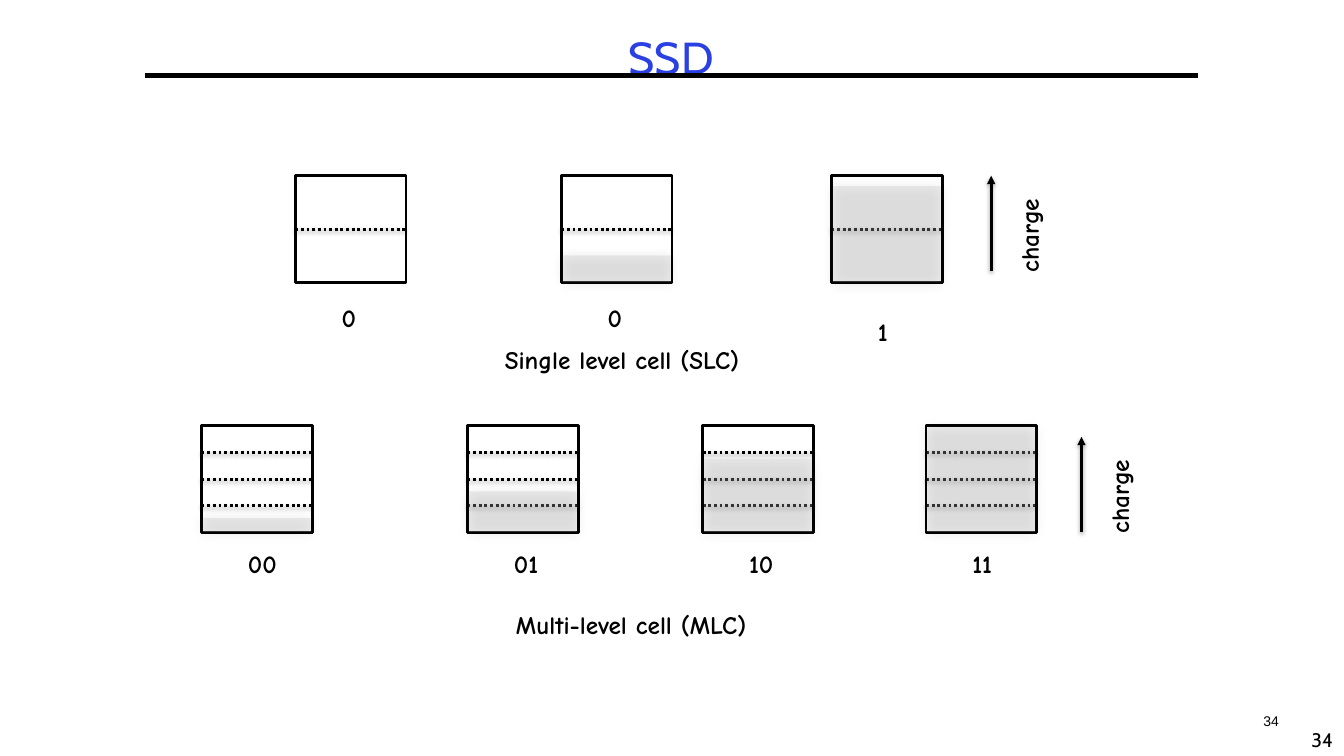
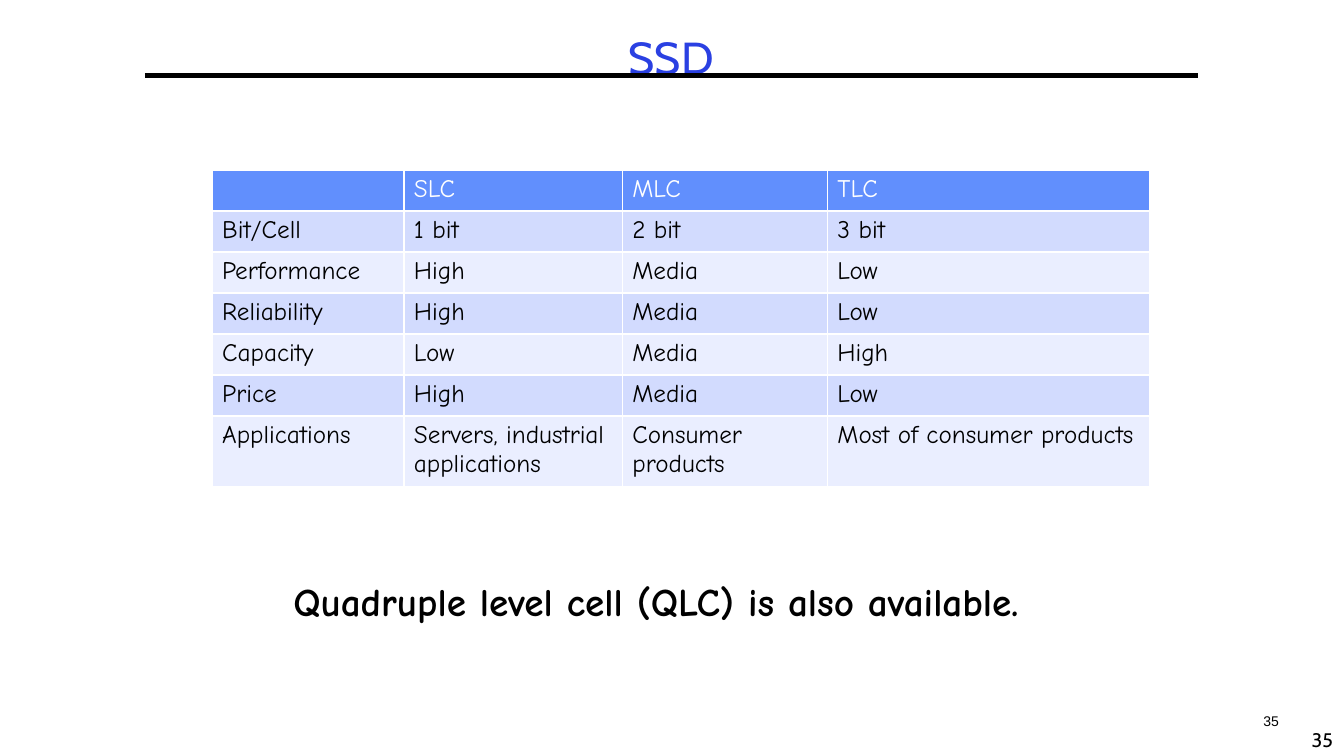
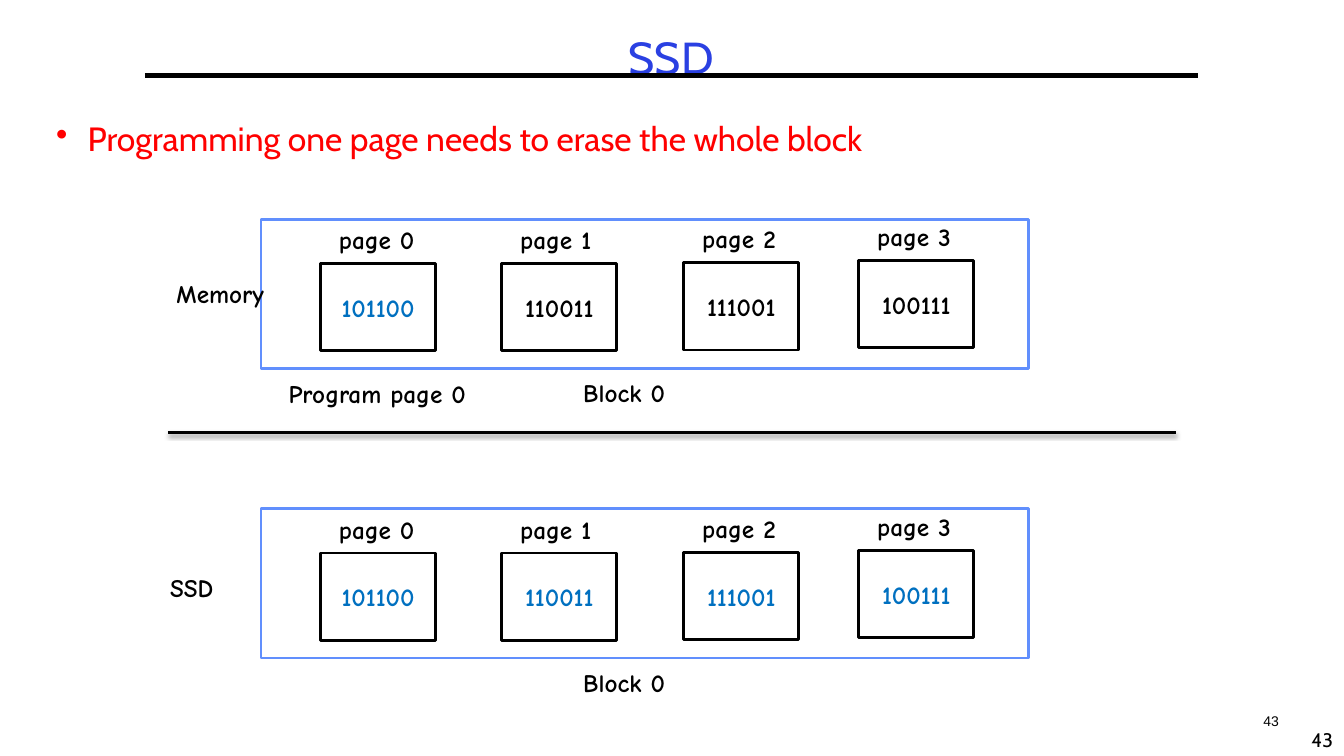
"""Build three slides on SSD cell levels, cell types and block programming."""
from lxml import etree
from pptx import Presentation
from pptx.dml.color import RGBColor
from pptx.enum.dml import MSO_LINE
from pptx.enum.shapes import MSO_CONNECTOR, MSO_SHAPE
from pptx.enum.text import MSO_ANCHOR, MSO_AUTO_SIZE, PP_ALIGN
from pptx.oxml.ns import qn
from pptx.util import Pt

LEFT, CENTER = PP_ALIGN.LEFT, PP_ALIGN.CENTER
MIDDLE, TOP = MSO_ANCHOR.MIDDLE, MSO_ANCHOR.TOP
RECT, STRAIGHT = MSO_SHAPE.RECTANGLE, MSO_CONNECTOR.STRAIGHT
DOTTED = MSO_LINE.ROUND_DOT
GROW, FIXED = MSO_AUTO_SIZE.SHAPE_TO_FIT_TEXT, MSO_AUTO_SIZE.NONE

BLACK = RGBColor(0, 0, 0)
WHITE = RGBColor(255, 255, 255)
TITLE_BLUE = RGBColor(0x2A, 0x40, 0xE2)
ACCENT = RGBColor(0x61, 0x8F, 0xFD)
BAND_DARK = RGBColor(0xD2, 0xDB, 0xFE)
BAND_LIGHT = RGBColor(0xEA, 0xEE, 0xFF)
CHARGE_GRAY = RGBColor(0xBF, 0xBF, 0xBF)
DATA_BLUE = RGBColor(0, 0x70, 0xC0)
RED = RGBColor(255, 0, 0)
HAND, SANS, PLAIN = "Comic Neue", "Cabin", "Arial"

LINE_SHADOW = (38, 3.1, 1.6)
CHARGE_SHADOW = (35, 9, 1)

CELL_W, CELL_H = 79, 76.5
CELL_ROWS = [
    {
        "top": 125.5, "levels": 2, "label_w": 26,
        "cells": [("0", 211, 0, 212.5), ("0", 401, 19, 212.5), ("1", 594, 68.5, 222.5)],
        "caption": ("Single level cell (SLC)", 353.5, 242.5, 206),
        "arrow": (708, 193.5),
    },
    {
        "top": 304, "levels": 4, "label_w": 36.5,
        "cells": [("00", 144, 10, 388), ("01", 334, 29, 388),
                  ("10", 502, 52, 388), ("11", 661.5, 75, 388)],
        "caption": ("Multi-level cell (MLC)", 361.5, 431.5, 204.5),
        "arrow": (772.5, 380),
    },
]
ARROW_LEN = 68

COL_WIDTHS = [137, 156, 146.5, 230]
ROW_H, LAST_ROW_H = 29.3, 49
TABLE = [
    ["", "SLC", "MLC", "TLC"],
    ["Bit/Cell", "1 bit", "2 bit", "3 bit"],
    ["Performance", "High", "Media", "Low"],
    ["Reliability", "High", "Media", "Low"],
    ["Capacity", "Low", "Media", "High"],
    ["Price", "High", "Media", "Low"],
    ["Applications", "Servers, industrial applications", "Consumer products",
     "Most of consumer products"],
]

PAGES = [("101100", 229, 0), ("110011", 358.5, 0), ("111001", 488.5, -0.5), ("100111", 613.5, -2)]
BLOCKS = [
    {"top": 156.5, "programmed": 1, "name": ("Memory", 119, 195, 83.5)},
    {"top": 363.5, "programmed": 4, "name": ("SSD", 114.5, 405.5, 52.5)},
]


def style(p, size, font, color, bold=False, align=LEFT):
    p.alignment = align
    f = p.font
    f.size, f.name, f.bold = Pt(size), font, bold
    f.color.rgb = color


def add_shadow(shape, alpha, blur, dist):
    sp_pr = shape._element.spPr
    effects = sp_pr.find(qn("a:effectLst"))
    if effects is None:
        effects = etree.SubElement(sp_pr, qn("a:effectLst"))
    outer = etree.SubElement(effects, qn("a:outerShdw"), blurRad=str(Pt(blur)),
                             dist=str(Pt(dist)), dir="5400000", rotWithShape="0")
    clr = etree.SubElement(outer, qn("a:srgbClr"), val=str(BLACK))
    etree.SubElement(clr, qn("a:alpha"), val=str(alpha * 1000))


def add_text(s, text, x, y, w, h=29, size=18, font=HAND, color=BLACK, bold=True,
             align=LEFT, wrap=False):
    box = s.shapes.add_textbox(Pt(x), Pt(y), Pt(w), Pt(h))
    tf = box.text_frame
    tf.word_wrap = wrap
    tf.auto_size = FIXED if wrap else GROW
    tf.vertical_anchor = TOP
    p = tf.paragraphs[0]
    p.text = text
    style(p, size, font, color, bold, align)
    return box


def add_rect(s, x, y, w, h, fill=WHITE, line=BLACK):
    sp = s.shapes.add_shape(RECT, Pt(x), Pt(y), Pt(w), Pt(h))
    sp.shadow.inherit = False
    sp.fill.solid()
    sp.fill.fore_color.rgb = fill
    if line is None:
        sp.line.fill.background()
    else:
        sp.line.color.rgb = line
        sp.line.width = Pt(2)
    return sp


def add_line(s, x1, y1, x2, y2, width=2, dash=None, arrow=False, shadow=LINE_SHADOW):
    c = s.shapes.add_connector(STRAIGHT, Pt(x1), Pt(y1), Pt(x2), Pt(y2))
    c.line.color.rgb = BLACK
    c.line.width = Pt(width)
    if dash is not None:
        c.line.dash_style = dash
    if arrow:
        etree.SubElement(c.line._get_or_add_ln(), qn("a:tailEnd"), type="triangle")
    etree.SubElement(c._element.spPr, qn("a:effectLst"))
    if shadow:
        add_shadow(c, *shadow)


def new_slide(prs, title, number):
    s = prs.slides.add_slide(prs.slide_layouts[5])
    add_text(s, number, 929, 516.5, 31, 24, 14, SANS, bold=False, align=CENTER)
    add_line(s, 103.5, 54, 856, 54, width=3, shadow=None)
    add_text(s, number, 890, 505.5, 36, 29, 10, PLAIN, bold=False, align=CENTER, wrap=True)
    t = s.shapes.title
    t.left, t.top, t.width, t.height = Pt(33), Pt(21.5), Pt(893), Pt(42)
    tf = t.text_frame
    tf.text = title
    tf.auto_size = FIXED
    tf.vertical_anchor = MIDDLE
    p = tf.paragraphs[0]
    p.line_spacing = 0.9
    style(p, 32, SANS, TITLE_BLUE, align=CENTER)
    return s


def add_cell(s, x, top, levels, charge):
    add_rect(s, x, top, CELL_W, CELL_H)
    for i in range(1, levels):
        y = top + CELL_H * i / levels
        add_line(s, x, y, x + CELL_W, y, dash=DOTTED)
    if charge:
        sp = add_rect(s, x + 1, top + CELL_H - charge - 0.5, 77, charge, CHARGE_GRAY, None)
        clr = sp._element.spPr.find(qn("a:solidFill"))[0]
        etree.SubElement(clr, qn("a:alpha"), val="27000")
        add_shadow(sp, *CHARGE_SHADOW)


def levels_slide(prs):
    s = new_slide(prs, "SSD", "34")
    for row in CELL_ROWS:
        for bits, x, charge, label_y in row["cells"]:
            add_cell(s, x, row["top"], row["levels"], charge)
            add_text(s, bits, x + 26, label_y, row["label_w"])
        add_text(s, *row["caption"])
        x, bottom = row["arrow"]
        add_line(s, x, bottom, x, bottom - ARROW_LEN, arrow=True)
        add_text(s, "charge", x - 9.5, bottom - 43, 73).rotation = 270


def types_slide(prs):
    s = new_slide(prs, "SSD", "35")
    frame = s.shapes.add_table(len(TABLE), len(COL_WIDTHS), Pt(151.5), Pt(121.5),
                               Pt(sum(COL_WIDTHS)), Pt(ROW_H * 6 + LAST_ROW_H))
    table = frame.table
    for col, w in zip(table.columns, COL_WIDTHS):
        col.width = Pt(w)
    for r, values in enumerate(TABLE):
        table.rows[r].height = Pt(LAST_ROW_H if r == len(TABLE) - 1 else ROW_H)
        band = ACCENT if r == 0 else (BAND_LIGHT, BAND_DARK)[r % 2]
        for c, value in enumerate(values):
            cell = table.cell(r, c)
            cell.fill.solid()
            cell.fill.fore_color.rgb = band
            cell.text = value
            style(cell.text_frame.paragraphs[0], 18, HAND, BLACK if r else WHITE)
    add_text(s, "Quadruple level cell (QLC) is also available.", 202.5, 409, 626, 41, size=28)


def add_block(s, top, programmed, name):
    add_rect(s, 186.5, top, 548, 106.5, line=ACCENT)
    for i, (bits, x, dy) in enumerate(PAGES):
        sp = add_rect(s, x, top + 31.5 + dy, 82, 62.5)
        tf = sp.text_frame
        tf.text = bits
        tf.vertical_anchor = MIDDLE
        style(tf.paragraphs[0], 18, HAND, DATA_BLUE if i < programmed else BLACK, True, CENTER)
        add_text(s, f"page {i}", x + 6, top + dy, 73.5)
    add_text(s, "Block 0", 409.5, top + 109.5, 78.5)
    add_text(s, *name)


def program_slide(prs):
    s = new_slide(prs, "SSD", "43")
    box = add_text(s, "Programming one page needs to erase the whole block", 33, 84, 893, 40,
                   24, SANS, RED, bold=False, wrap=True)
    p = box.text_frame.paragraphs[0]
    p.line_spacing = 0.9
    p_pr = p._p.get_or_add_pPr()
    p_pr.set("marL", str(Pt(22.5)))
    p_pr.set("indent", str(Pt(-22.5)))
    bullet = etree.Element(qn("a:buChar"), char="•")
    p_pr.find(qn("a:defRPr")).addprevious(bullet)
    for block in BLOCKS:
        add_block(s, **block)
    add_line(s, 120, 309, 840, 309)
    add_text(s, "Program page 0", 199, 267, 151)


def main():
    prs = Presentation()
    prs.slide_width, prs.slide_height = Pt(960), Pt(540)
    levels_slide(prs)
    types_slide(prs)
    program_slide(prs)
    prs.save("out.pptx")


if __name__ == "__main__":
    main()
